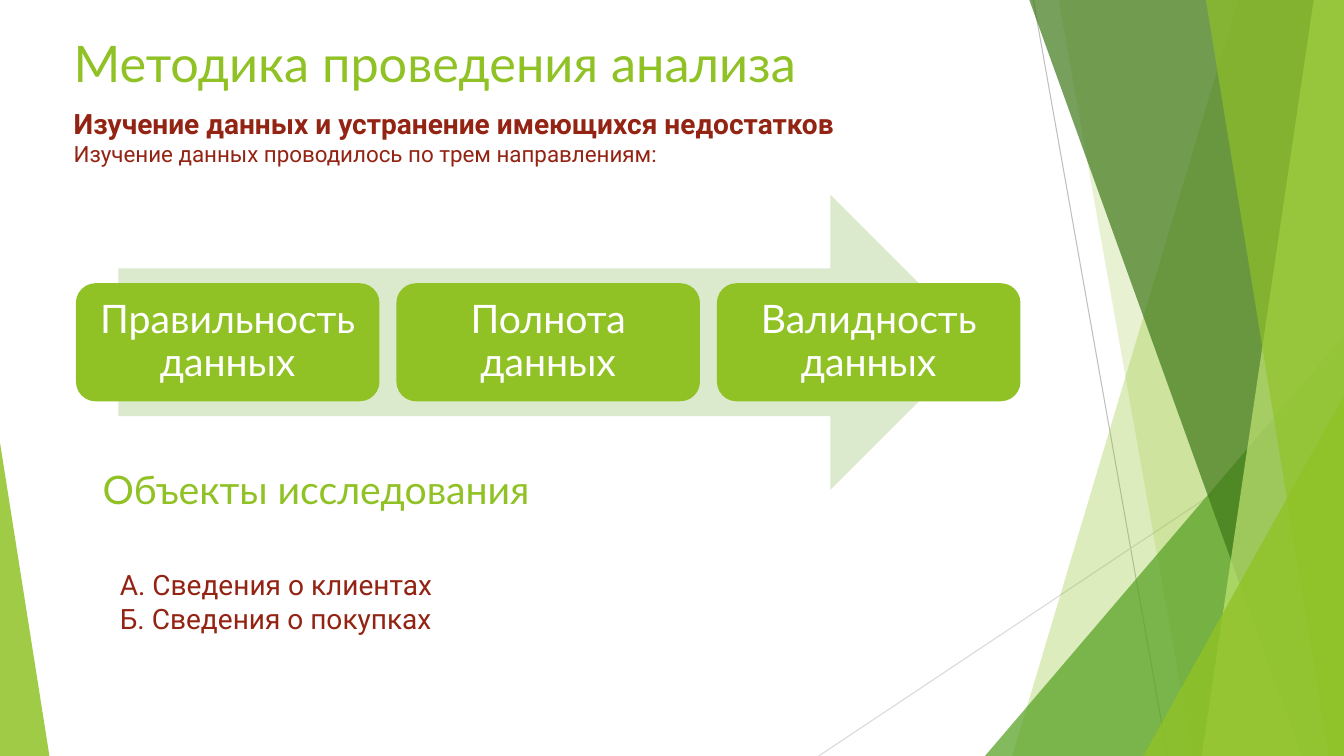
from lxml import etree
from pptx import Presentation
from pptx.dml.color import RGBColor
from pptx.enum.shapes import MSO_CONNECTOR, MSO_SHAPE
from pptx.enum.text import MSO_ANCHOR, PP_ALIGN
from pptx.oxml.ns import qn
from pptx.util import Inches, Pt

STRAIGHT = MSO_CONNECTOR.STRAIGHT
TRIANGLE, ARROW, ROUNDED = MSO_SHAPE.ISOSCELES_TRIANGLE, MSO_SHAPE.RIGHT_ARROW, MSO_SHAPE.ROUNDED_RECTANGLE
TOP, MIDDLE = MSO_ANCHOR.TOP, MSO_ANCHOR.MIDDLE
LEFT, CENTER, JUSTIFY = PP_ALIGN.LEFT, PP_ALIGN.CENTER, PP_ALIGN.JUSTIFY

WIDTH, HEIGHT = Inches(13.33), Inches(7.5)
COLORS = {
    "lime": "90C226", "green": "54A021", "forest": "3F7819", "pale lime": "C0E474",
    "arrow": "DBE9CD", "white": "FFFFFF", "maroon": "932313",
    "gray": "BFBFBF", "light gray": "D9D9D9",
}
STYLES = {
    "title": {"name": "Lato", "size": Pt(36), "bold": False, "color": "lime"},
    "heading": {"name": "Lato", "size": Pt(28), "bold": False, "color": "lime"},
    "card": {"name": "Lato", "size": Pt(28), "bold": False, "color": "white"},
    "lead": {"name": "Roboto", "size": Pt(20), "bold": True, "color": "maroon"},
    "note": {"name": "Roboto", "size": Pt(16), "bold": False, "color": "maroon"},
    "item": {"name": "Roboto", "size": Pt(20), "bold": False, "color": "maroon"},
}


def share(left, top, width, height):
    """Turn percentages of the slide into a box of lengths."""
    return (int(WIDTH * left / 100), int(HEIGHT * top / 100),
            int(WIDTH * width / 100), int(HEIGHT * height / 100))


def rgb(name):
    """Look up a named colour."""
    return RGBColor.from_string(COLORS[name])


def paint(shape, color, opacity=100):
    """Give a shape a flat fill without line or shadow."""
    shape.shadow.inherit = False
    shape.line.fill.background()
    shape.fill.solid()
    shape.fill.fore_color.rgb = rgb(color)
    if opacity < 100:
        tint = shape.fill._xPr.find(".//" + qn("a:srgbClr"))
        etree.SubElement(tint, qn("a:alpha")).set("val", str(opacity * 1000))


def write(shape, lines, anchor=TOP, align=LEFT, spacing=1.0):
    """Fill a shape with styled paragraphs given as (text, style) pairs."""
    frame = shape.text_frame
    frame.word_wrap = True
    frame.vertical_anchor = anchor
    for index, (text, style) in enumerate(lines):
        paragraph = frame.add_paragraph() if index else frame.paragraphs[0]
        properties = paragraph._p.get_or_add_pPr()
        properties.set("marL", "0")
        properties.set("indent", "0")
        etree.SubElement(properties, qn("a:buNone"))
        layout = {"alignment": align, "line_spacing": spacing,
                  "space_before": Pt(0), "space_after": Pt(0)}
        for name, value in layout.items():
            setattr(paragraph, name, value)
        run = paragraph.add_run()
        run.text = text
        for name, value in STYLES[style].items():
            if name == "color":
                run.font.color.rgb = rgb(value)
            else:
                setattr(run.font, name, value)


def add_facets(slide, box):
    """Draw the thin lines, slanted ribbons and corner triangles inside a box."""
    left, top, width, height = box

    def point(across, down):
        """Place a point by percentages of the box."""
        return int(left + width * across / 100), int(top + height * down / 100)

    def line(start, end, color):
        """Draw a thin straight line."""
        connector = slide.shapes.add_connector(STRAIGHT, *point(*start), *point(*end))
        connector.line.color.rgb = rgb(color)
        connector.line.width = Pt(0.75)
        etree.SubElement(connector._element.spPr, qn("a:effectLst"))

    def ribbon(upper, lower, color, opacity):
        """Fill from a slanted edge to the right side of the box."""
        builder = slide.shapes.build_freeform(*point(upper, 0))
        builder.add_line_segments([point(100, 0), point(100, 100), point(lower, 100)], close=True)
        paint(builder.convert_to_shape(), color, opacity)

    def triangle(start, end, peak, apex, color, opacity):
        """Draw a right triangle that stands on the bottom of the box."""
        x, y = point(start, peak)
        right, bottom = point(end, 100)
        shape = slide.shapes.add_shape(TRIANGLE, x, y, right - x, bottom - y)
        shape.adjustments[0] = apex
        paint(shape, color, opacity)

    line((76.89, 0), (86.87, 100), "gray")
    line((100, 53.73), (60.92, 100), "light gray")
    ribbon(92.12, 75.32, "lime", 30)
    ribbon(78.77, 88.75, "lime", 20)
    triangle(73.29, 100, 44.4, 1, "green", 72)
    ribbon(76.59, 96.85, "forest", 70)
    ribbon(97.75, 89.42, "pale lime", 70)
    ribbon(89.72, 98.87, "lime", 65)
    triangle(85.07, 100, 52.4, 1, "lime", 80)
    triangle(0, 3.68, 58.53, 0, "lime", 85)


def fill_placeholder(placeholder, box, lines, align=LEFT):
    """Move a placeholder to a box and write its text."""
    for name, value in zip(("left", "top", "width", "height"), box):
        setattr(placeholder, name, value)
    write(placeholder, lines, align=align)


def add_process(slide, box, labels):
    """Draw an arrow with a row of equal cards across it."""
    left, top, width, height = box
    arrow = slide.shapes.add_shape(ARROW, int(left + width * 0.045), top, int(width * 0.91), height)
    paint(arrow, "arrow")
    pitch = width * 0.3393
    card_width, card_height = int(width - pitch * (len(labels) - 1)), int(height * 0.4)
    for column, label in enumerate(labels):
        card = slide.shapes.add_shape(ROUNDED, int(left + column * pitch),
                                      int(top + height * 0.3), card_width, card_height)
        paint(card, "lime")
        for side in ("left", "right", "top", "bottom"):
            setattr(card.text_frame, "margin_" + side, Inches(0.17))
        write(card, [(label, "card")], MIDDLE, CENTER, 0.9)


def add_text(slide, box, lines):
    """Add a text box with styled lines."""
    write(slide.shapes.add_textbox(*box), lines)


def build_slide(presentation):
    """Build the analysis method slide."""
    slide = presentation.slides.add_slide(presentation.slide_layouts[1])
    title, body = slide.placeholders
    add_facets(slide, (0, 0, WIDTH, HEIGHT))
    fill_placeholder(title, share(4.73, 3.6, 70.5, 11), [("Методика проведения анализа", "title")])
    fill_placeholder(body, share(4.73, 13.47, 70.5, 11), [
        ("Изучение данных и устранение имеющихся недостатков", "lead"),
        ("Изучение данных проводилось по трем направлениям:", "note"),
    ], JUSTIFY)
    add_process(slide, share(5.65, 25.75, 70.28, 39.05),
                ["Правильность данных", "Полнота данных", "Валидность данных"])
    add_text(slide, share(6.9, 60.93, 43.8, 7.6), [("Объекты исследования", "heading")])
    add_text(slide, share(8.18, 74.4, 55.3, 10.27), [
        ("А. Сведения о клиентах", "item"),
        ("Б. Сведения о покупках", "item"),
    ])


def main():
    """Create and save the presentation."""
    presentation = Presentation()
    presentation.slide_width, presentation.slide_height = WIDTH, HEIGHT
    build_slide(presentation)
    presentation.save("out.pptx")


if __name__ == "__main__":
    main()
